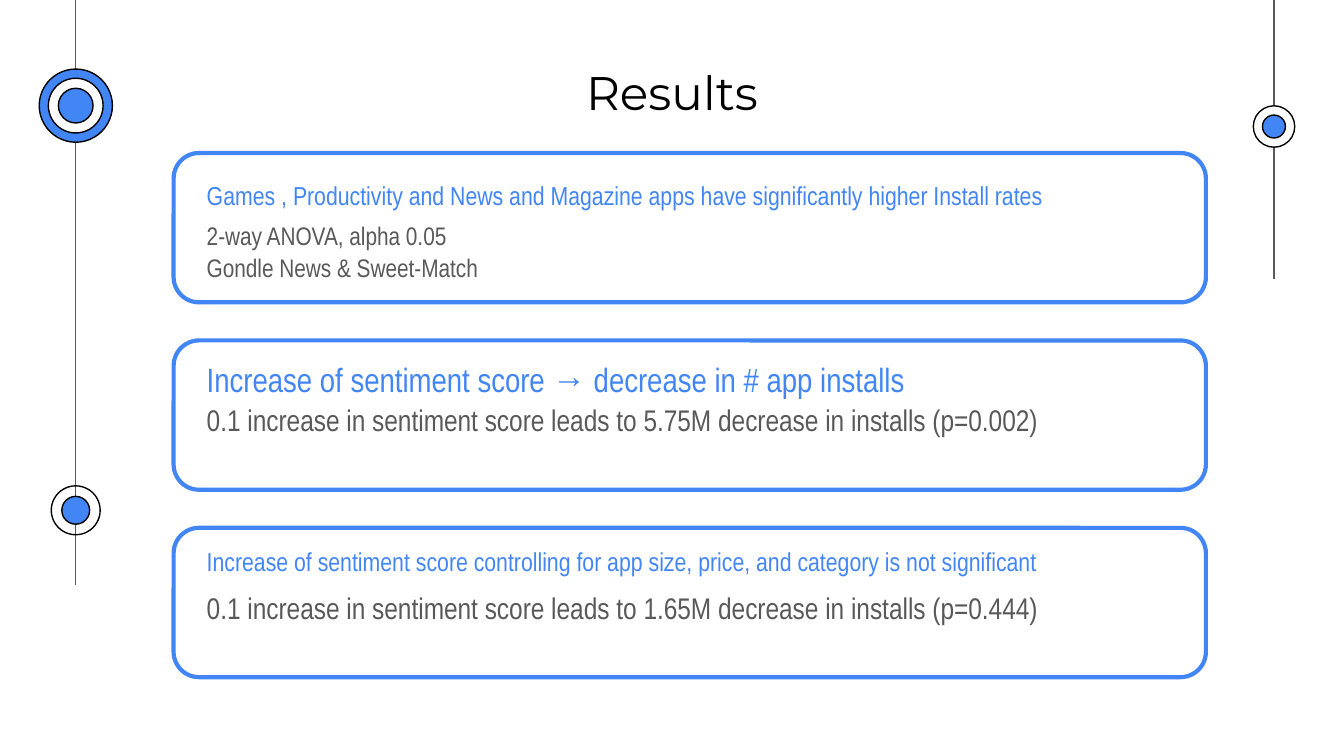
from dataclasses import dataclass

import pptx
import pptx.dml.color
import pptx.enum.shapes
import pptx.enum.text
import pptx.util
from lxml import etree
from pptx.util import Pt

BLUE, GREY, BLACK, WHITE = "4285F4", "595959", "000000", "FFFFFF"
BODY_FONT = "Arial Narrow"
CARD_TOP, CARD_STEP = 82, 100.4


@dataclass(frozen=True)
class Ring:
    diameter: float
    fill: str | None


@dataclass(frozen=True)
class Node:
    x: float
    y: float
    rings: tuple[Ring, ...]


@dataclass(frozen=True)
class Caption:
    top: float
    height: float
    lines: tuple[str, ...]
    size: float
    color: str
    line_spacing: float = 1.15


@dataclass(frozen=True)
class Card:
    heading: Caption
    detail: Caption


LEFT_X, RIGHT_X = 40.6, 682.5
TIMELINES = ((LEFT_X, 313.2), (RIGHT_X, 149.5))
NODES = (
    Node(LEFT_X, 273.4, (Ring(26.2, None), Ring(14.9, BLUE))),
    Node(RIGHT_X, 67.8, (Ring(22.2, WHITE), Ring(12.3, BLUE))),
    Node(LEFT_X, 56.6, (Ring(39.2, BLUE), Ring(29.3, WHITE), Ring(18.6, BLUE))),
)
CARDS = (
    Card(
        Caption(86.4, 36, ("Games , Productivity and News and Magazine apps have significantly higher Install rates",), 13.9, BLUE),
        Caption(110.2, 48.2, ("2-way ANOVA, alpha 0.05", "Gondle News & Sweet-Match"), 13.6, GREY, 1.05),
    ),
    Card(
        Caption(182, 36, ("Increase of sentiment score → decrease in # app installs",), 18, BLUE),
        Caption(205.2, 48.2, ("0.1 increase in sentiment score leads to 5.75M decrease in installs (p=0.002)",), 16, GREY),
    ),
    Card(
        Caption(282.4, 36, ("Increase of sentiment score controlling for app size, price, and category is not significant",), 13.9, BLUE),
        Caption(306, 48.2, ("0.1 increase in sentiment score leads to 1.65M decrease in installs (p=0.444)",), 16, GREY),
    ),
)


def rgb(color: str) -> pptx.dml.color.RGBColor:
    return pptx.dml.color.RGBColor.from_string(color)


def add_outlined_shape(slide, kind, left: float, top: float, width: float, height: float,
                       fill: str | None, line: str, weight: float):
    shape = slide.shapes.add_shape(kind, Pt(left), Pt(top), Pt(width), Pt(height))
    shape.shadow.inherit = False
    if fill is None:
        shape.fill.background()
    else:
        shape.fill.solid()
        shape.fill.fore_color.rgb = rgb(fill)
    shape.line.color.rgb = rgb(line)
    shape.line.width = Pt(weight)
    return shape


def add_timeline(slide, x: float, length: float) -> None:
    connector = slide.shapes.add_connector(
        pptx.enum.shapes.MSO_CONNECTOR.STRAIGHT, Pt(x), Pt(0), Pt(x), Pt(length))
    connector.line.color.rgb = rgb(GREY)
    connector.line.width = Pt(0.75)
    properties = connector._element.spPr
    etree.SubElement(properties, pptx.oxml.ns.qn("a:effectLst"))


def add_node(slide, node: Node) -> None:
    for ring in node.rings:
        radius = ring.diameter / 2
        add_outlined_shape(slide, pptx.enum.shapes.MSO_SHAPE.OVAL, node.x - radius, node.y - radius,
                           ring.diameter, ring.diameter, ring.fill, BLACK, 0.75)


def format_frame(frame, anchor) -> None:
    frame.word_wrap = True
    frame.auto_size = pptx.enum.text.MSO_AUTO_SIZE.NONE
    frame.vertical_anchor = anchor
    frame.margin_left = frame.margin_right = Pt(7.2)
    frame.margin_top = frame.margin_bottom = Pt(7.2)


def add_run(paragraph, text: str, font: str, size: float, color: str) -> None:
    run = paragraph.add_run()
    run.text = text
    run.font.name = font
    run.font.size = Pt(size)
    run.font.color.rgb = rgb(color)


def add_caption(slide, caption: Caption) -> None:
    box = slide.shapes.add_textbox(Pt(103.7), Pt(caption.top), Pt(532), Pt(caption.height))
    format_frame(box.text_frame, pptx.enum.text.MSO_ANCHOR.TOP)
    paragraph = box.text_frame.paragraphs[0]
    paragraph.line_spacing = caption.line_spacing
    paragraph.space_after = Pt(12)
    for index, line in enumerate(caption.lines):
        if index:
            paragraph.add_line_break()
        add_run(paragraph, line, BODY_FONT, caption.size, caption.color)


def format_title(slide, text: str) -> None:
    title = slide.shapes.title
    title.left, title.top, title.width, title.height = Pt(233.3), Pt(26.6), Pt(253.4), Pt(45.4)
    format_frame(title.text_frame, pptx.enum.text.MSO_ANCHOR.MIDDLE)
    paragraph = title.text_frame.paragraphs[0]
    paragraph.alignment = pptx.enum.text.PP_ALIGN.CENTER
    add_run(paragraph, text, "Montserrat", 25.2, BLACK)


def main() -> None:
    presentation = pptx.Presentation()
    presentation.slide_width, presentation.slide_height = Pt(720), Pt(405)
    slide = presentation.slides.add_slide(presentation.slide_layouts[5])
    format_title(slide, "Results")
    for x, length in TIMELINES:
        add_timeline(slide, x, length)
    for node in NODES:
        add_node(slide, node)
    for index, card in enumerate(CARDS):
        frame = add_outlined_shape(slide, pptx.enum.shapes.MSO_SHAPE.ROUNDED_RECTANGLE, 93,
                                   CARD_TOP + index * CARD_STEP, 553, 80, None, BLUE, 2.25)
        frame.adjustments[0] = 0.17
        add_caption(slide, card.heading)
        add_caption(slide, card.detail)
    presentation.save("out.pptx")


if __name__ == "__main__":
    main()
